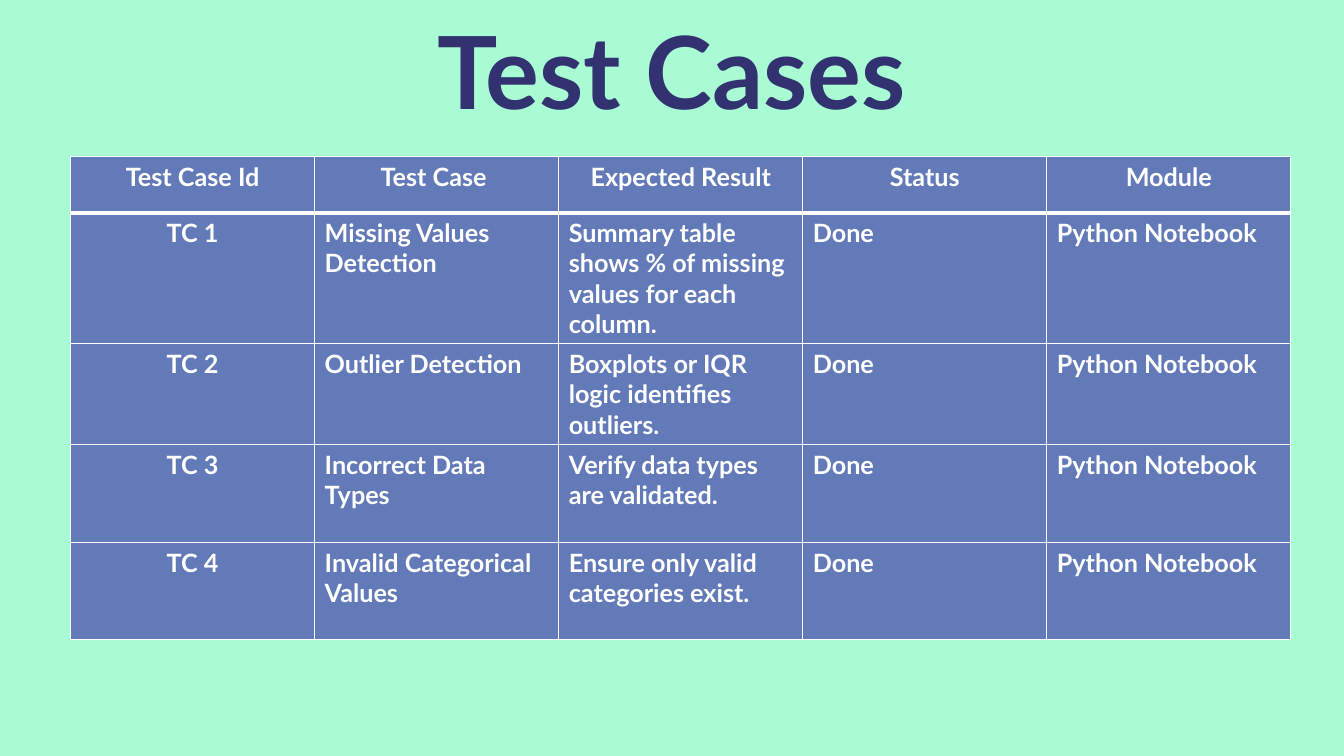
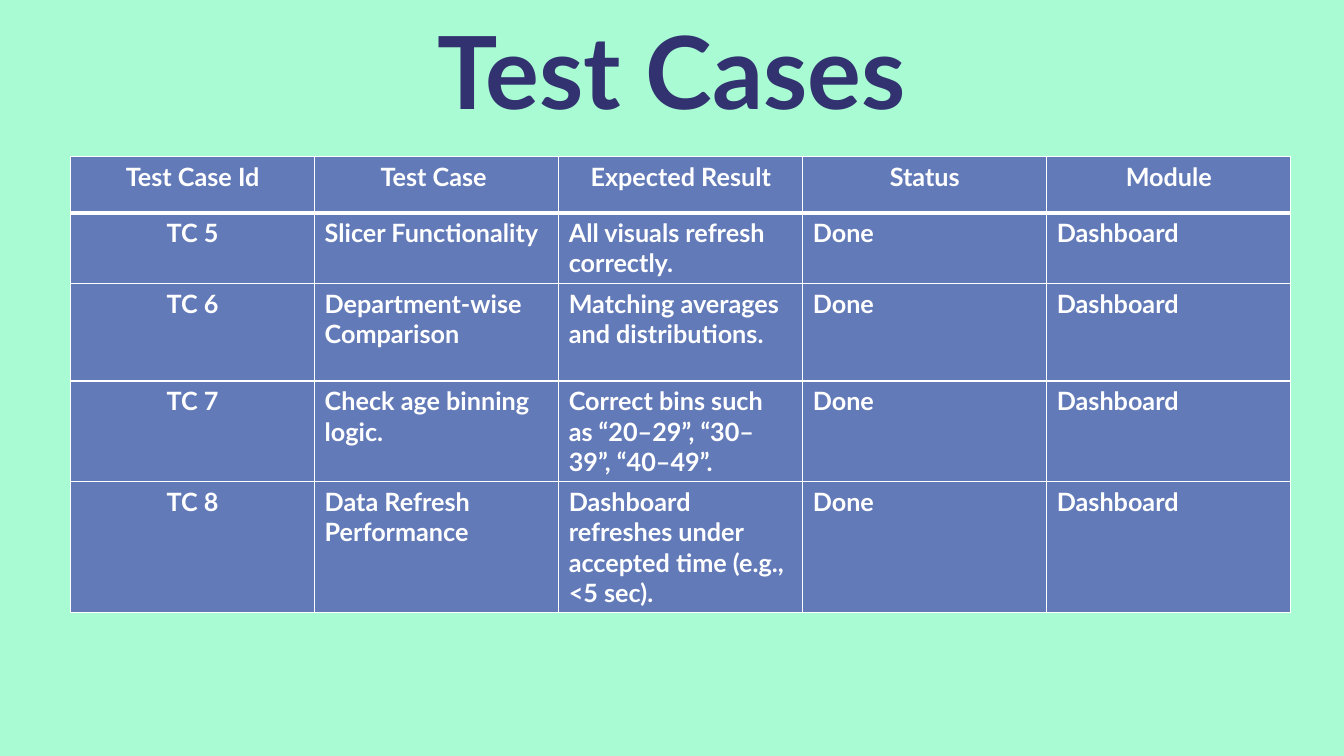
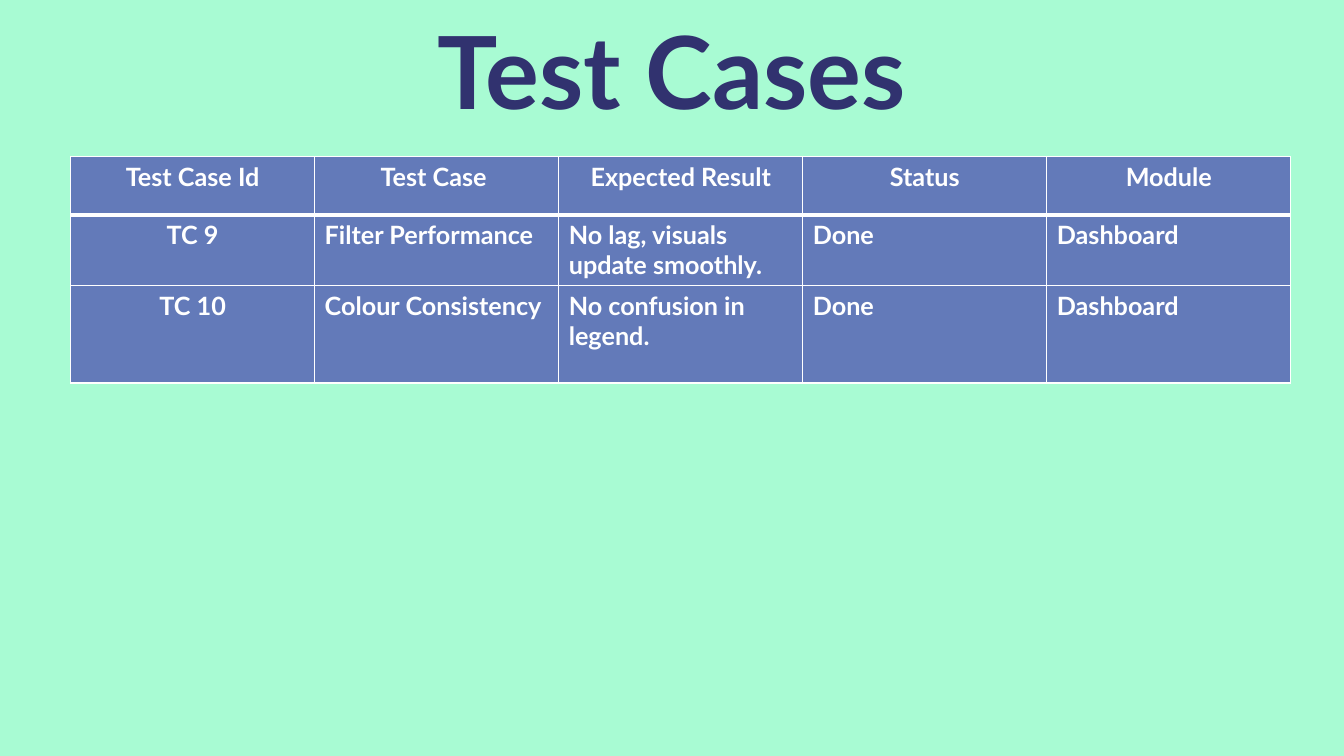
"""Build three slides of test cases, each with a title and a table."""
from dataclasses import dataclass

from lxml import etree
from pptx import Presentation
from pptx import util as u
from pptx.dml.color import RGBColor
from pptx.enum import text
from pptx.oxml import ns


@dataclass(frozen=True)
class Theme:
    """Colours, font and sizes shared by all slides."""
    background: str = "A8FBD3"
    title: str = "31326F"
    cell: str = "637AB9"
    light: str = "FFFFFF"
    font: str = "Lato"
    title_size: int = 72
    cell_size: int = 18
    thin: int = 1
    thick: int = 3


@dataclass(frozen=True)
class Box:
    """A region of the slide in centimetres."""
    left: float
    top: float
    width: float
    height: float


THEME = Theme()
SLIDE_WIDTH, SLIDE_HEIGHT = 33.87, 19.05
TITLE_BOX = Box(3.71, 0.08, 26.45, 3.33)
TABLE_LEFT, TABLE_TOP, TABLE_WIDTH = 1.78, 3.94, 30.75
TWO_LINES, STANDARD, THREE_LINES, FOUR_LINES = 1.78, 2.46, 2.54, 3.3

TITLE = "Test Cases"
HEADERS = ("Test Case Id", "Test Case ", "Expected Result", "Status", "Module")
STATUS = "Done"

SLIDES = (
    ("Python Notebook", 1.42, (
        (FOUR_LINES, "TC 1", "Missing Values Detection",
         "Summary table shows % of missing values for each column."),
        (THREE_LINES, "TC 2", "Outlier Detection",
         "Boxplots or IQR logic identifies outliers."),
        (STANDARD, "TC 3", "Incorrect Data Types", "Verify data types are validated."),
        (STANDARD, "TC 4", "Invalid Categorical Values",
         "Ensure only valid categories exist."),
    )),
    ("Dashboard", 1.42, (
        (TWO_LINES, "TC 5", "Slicer Functionality", "All visuals refresh correctly."),
        (STANDARD, "TC 6", "Department-wise Comparison",
         "Matching averages and distributions."),
        (THREE_LINES, "TC 7", "Check age binning logic.",
         "Correct bins such as “20–29”, “30–39”, “40–49”."),
        (FOUR_LINES, "TC 8", "Data Refresh Performance",
         "Dashboard refreshes under accepted time (e.g., <5 sec)."),
    )),
    ("Dashboard", 1.47, (
        (TWO_LINES, "TC 9", "Filter Performance", "No lag, visuals update smoothly."),
        (STANDARD, "TC 10", "Colour Consistency", "No confusion in legend."),
    )),
)


def write(paragraph, words, size, colour, centred):
    """Add one bold run in the theme font."""
    align = text.PP_ALIGN
    paragraph.alignment = align.CENTER if centred else align.LEFT
    run = paragraph.add_run()
    run.text = words
    run.font.name = THEME.font
    run.font.size = u.Pt(size)
    run.font.bold = True
    run.font.color.rgb = RGBColor.from_string(colour)


def place_title(slide, box):
    """Move the title placeholder into the box and fill it."""
    title = slide.shapes.title
    title.left, title.top = u.Cm(box.left), u.Cm(box.top)
    title.width, title.height = u.Cm(box.width), u.Cm(box.height)
    frame = title.text_frame
    frame.word_wrap = True
    frame.auto_size = text.MSO_AUTO_SIZE.SHAPE_TO_FIT_TEXT
    frame.vertical_anchor = text.MSO_ANCHOR.TOP
    write(frame.paragraphs[0], TITLE, THEME.title_size, THEME.title, True)


def set_borders(cell, top, bottom):
    """Draw light borders round a cell, with the given top and bottom widths."""
    properties = cell._tc.get_or_add_tcPr()
    widths = {"a:lnL": THEME.thin, "a:lnR": THEME.thin, "a:lnT": top, "a:lnB": bottom}
    for tag, width in widths.items():
        line = etree.SubElement(properties, ns.qn(tag), w=str(u.Pt(width)))
        fill = etree.SubElement(line, ns.qn("a:solidFill"))
        etree.SubElement(fill, ns.qn("a:srgbClr"), val=THEME.light)


def place_table(slide, box, rows, heights):
    """Fill the box with a table of equal columns and the given row heights."""
    table = slide.shapes.add_table(
        len(rows), len(HEADERS), u.Cm(box.left), u.Cm(box.top),
        u.Cm(box.width), u.Cm(box.height)).table
    for column in table.columns:
        column.width = u.Cm(box.width / len(HEADERS))
    for row_index, (values, height) in enumerate(zip(rows, heights)):
        table.rows[row_index].height = u.Cm(height)
        top = THEME.thick if row_index == 1 else THEME.thin
        bottom = THEME.thick if row_index == 0 else THEME.thin
        for column_index, value in enumerate(values):
            cell = table.cell(row_index, column_index)
            set_borders(cell, top, bottom)
            cell.fill.solid()
            cell.fill.fore_color.rgb = RGBColor.from_string(THEME.cell)
            write(cell.text_frame.paragraphs[0], value, THEME.cell_size,
                  THEME.light, row_index == 0 or column_index == 0)


def add_test_slide(presentation, module, header_height, cases):
    """Add a slide that lists the test cases of one module."""
    slide = presentation.slides.add_slide(presentation.slide_layouts[5])
    place_title(slide, TITLE_BOX)
    rows = [HEADERS] + [(*case[1:], STATUS, module) for case in cases]
    heights = [header_height] + [case[0] for case in cases]
    box = Box(TABLE_LEFT, TABLE_TOP, TABLE_WIDTH, sum(heights))
    place_table(slide, box, rows, heights)


def main():
    """Build and save the presentation."""
    presentation = Presentation()
    presentation.slide_width = u.Cm(SLIDE_WIDTH)
    presentation.slide_height = u.Cm(SLIDE_HEIGHT)
    background = presentation.slide_master.background.fill
    background.solid()
    background.fore_color.rgb = RGBColor.from_string(THEME.background)
    for module, header_height, cases in SLIDES:
        add_test_slide(presentation, module, header_height, cases)
    presentation.save("out.pptx")


if __name__ == "__main__":
    main()
